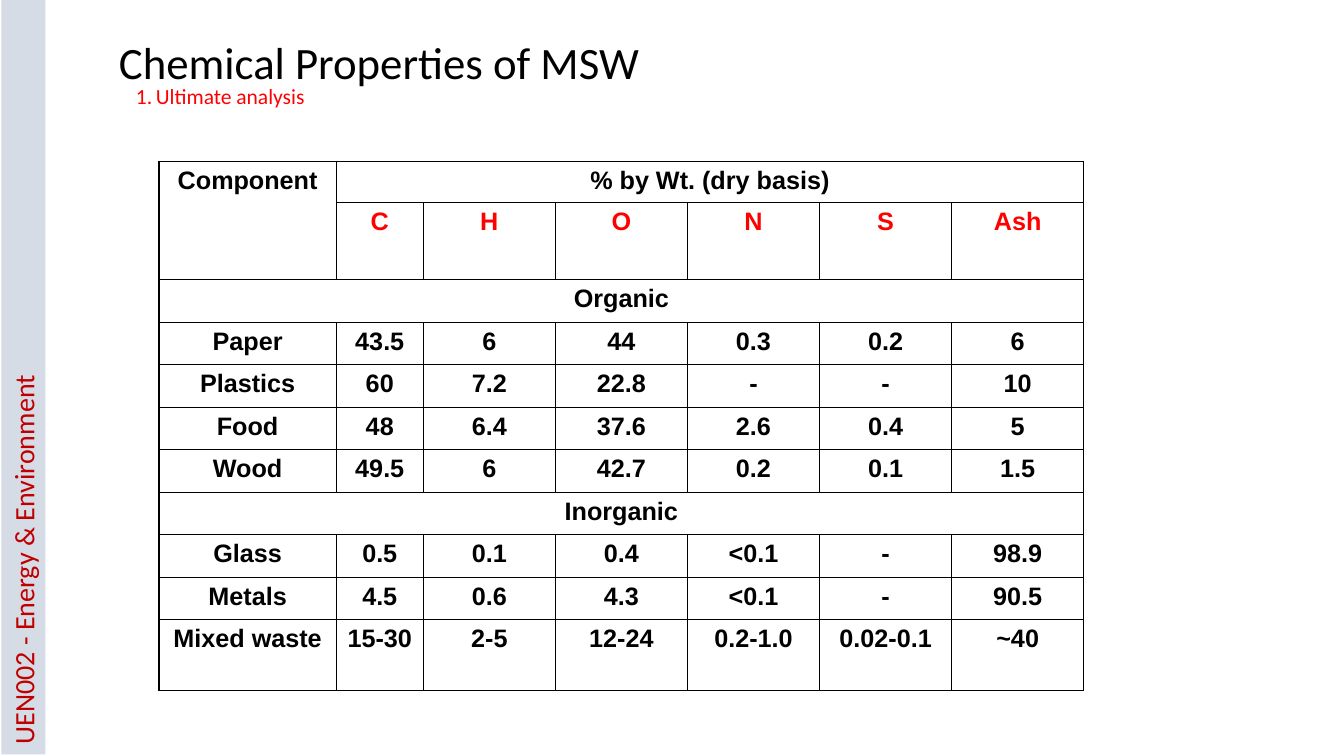
from pptx import Presentation
from pptx.dml.color import RGBColor
from pptx.enum.shapes import MSO_SHAPE as SHAPE
from pptx.enum.text import MSO_ANCHOR as ANCHOR, PP_ALIGN as ALIGN
from pptx.oxml import parse_xml
from pptx.oxml.ns import nsdecls
from pptx.util import Pt

PX = 9080
BLACK = RGBColor(0x00, 0x00, 0x00)
RED = RGBColor(0xFF, 0x00, 0x00)
DARK_RED = RGBColor(0xC0, 0x00, 0x00)
PALE_BLUE = RGBColor(0xD6, 0xDC, 0xE5)

COLUMNS = [177, 87] + [132] * 5
ROW_HEIGHTS = [41, 77] + [43, 42] * 4 + [71]
ROWS = [
    ["Component", "% by Wt. (dry basis)"],
    ["", "C", "H", "O", "N", "S", "Ash"],
    ["Organic"],
    ["Paper", "43.5", "6", "44", "0.3", "0.2", "6"],
    ["Plastics", "60", "7.2", "22.8", "-", "-", "10"],
    ["Food", "48", "6.4", "37.6", "2.6", "0.4", "5"],
    ["Wood", "49.5", "6", "42.7", "0.2", "0.1", "1.5"],
    ["Inorganic"],
    ["Glass", "0.5", "0.1", "0.4", "<0.1", "-", "98.9"],
    ["Metals", "4.5", "0.6", "4.3", "<0.1", "-", "90.5"],
    ["Mixed waste", "15-30", "2-5", "12-24", "0.2-1.0", "0.02-0.1", "~40"],
]
MERGES = [(0, 0, 1, 0), (0, 1, 0, 6), (2, 0, 2, 6), (7, 0, 7, 6)]
SYMBOL_ROW = 1


class Deck:
    body_font = "Calibri"
    table_font = "Arial"
    outer_line = Pt(1.08)
    inner_line = Pt(0.45)

    def __init__(self, prs):
        self.s = prs.slides.add_slide(prs.slide_layouts[6])

    def run(self, p, text, size, color, font=body_font, bold=False):
        r = p.add_run()
        r.text = text
        r.font.name = font
        r.font.size = Pt(size)
        r.font.bold = bold
        r.font.color.rgb = color

    def side_bar(self, box, text):
        sp = self.s.shapes.add_shape(SHAPE.RECTANGLE, *[v * PX for v in box])
        sp.rotation = 270
        sp.shadow.inherit = False
        sp.fill.solid()
        sp.fill.fore_color.rgb = PALE_BLUE
        sp.line.fill.background()
        tf = sp.text_frame
        tf.vertical_anchor = ANCHOR.TOP
        p = tf.paragraphs[0]
        p.alignment = ALIGN.LEFT
        self.run(p, text, 20, DARK_RED)

    def text(self, box, text, size, color, spacing, anchor=ANCHOR.TOP):
        sp = self.s.shapes.add_textbox(*[v * PX for v in box])
        tf = sp.text_frame
        tf.word_wrap = True
        tf.vertical_anchor = anchor
        p = tf.paragraphs[0]
        p.line_spacing = spacing
        self.run(p, text, size, color)
        return p

    def numbered(self, box, text, size, color):
        p = self.text(box, text, size, color, 1.5)
        p.alignment = ALIGN.JUSTIFY
        p.space_before = Pt(10)
        pPr = p._p.get_or_add_pPr()
        pPr.set("marL", str(20 * PX))
        pPr.set("indent", str(-20 * PX))
        pPr.append(parse_xml(f'<a:buClr {nsdecls("a")}><a:srgbClr val="{color}"/></a:buClr>'))
        pPr.append(parse_xml(f'<a:buAutoNum {nsdecls("a")} type="arabicPeriod"/>'))

    def borders(self, cell, outer):
        tcPr = cell._tc.get_or_add_tcPr()
        for i, (side, is_outer) in enumerate(outer.items()):
            width = self.outer_line if is_outer else self.inner_line
            tcPr.insert(i, parse_xml(
                f'<a:{side} {nsdecls("a")} w="{width}"><a:solidFill>'
                f'<a:srgbClr val="{BLACK}"/></a:solidFill></a:{side}>'))

    def table(self, x, y, columns, heights, rows, merges):
        size = sum(columns) * PX, sum(heights) * PX
        table = self.s.shapes.add_table(len(rows), len(columns), x * PX, y * PX, *size).table
        table.first_row = table.horz_banding = False
        for column, width in zip(table.columns, columns):
            column.width = width * PX
        for row, height in zip(table.rows, heights):
            row.height = height * PX
        for top, left, bottom, right in merges:
            table.cell(top, left).merge(table.cell(bottom, right))
        for i in range(len(rows)):
            for j in range(len(columns)):
                cell = table.cell(i, j)
                cell.fill.background()
                self.borders(cell, {
                    "lnL": j == 0,
                    "lnR": j + cell.span_width == len(columns),
                    "lnT": i == 0,
                    "lnB": i + cell.span_height == len(rows),
                })
                if not cell.is_spanned:
                    p = cell.text_frame.paragraphs[0]
                    p.alignment = ALIGN.CENTER
                    p.space_before = Pt(4.5)
                    color = RED if i == SYMBOL_ROW else BLACK
                    self.run(p, rows[i][j], 18, color, self.table_font, True)


def main():
    prs = Presentation()
    prs.slide_width = 1343 * PX
    prs.slide_height = 755 * PX
    deck = Deck(prs)
    deck.side_bar((-354, 354, 755, 44), "UEN002 - Energy & Environment")
    deck.text((109, 30, 906, 70), "Chemical Properties of MSW", 32, BLACK, 0.9, ANCHOR.MIDDLE)
    deck.numbered((126, 65, 445, 50), "Ultimate analysis", 15.4, RED)
    deck.table(159, 161, COLUMNS, ROW_HEIGHTS, ROWS, MERGES)
    prs.save("out.pptx")


if __name__ == "__main__":
    main()
